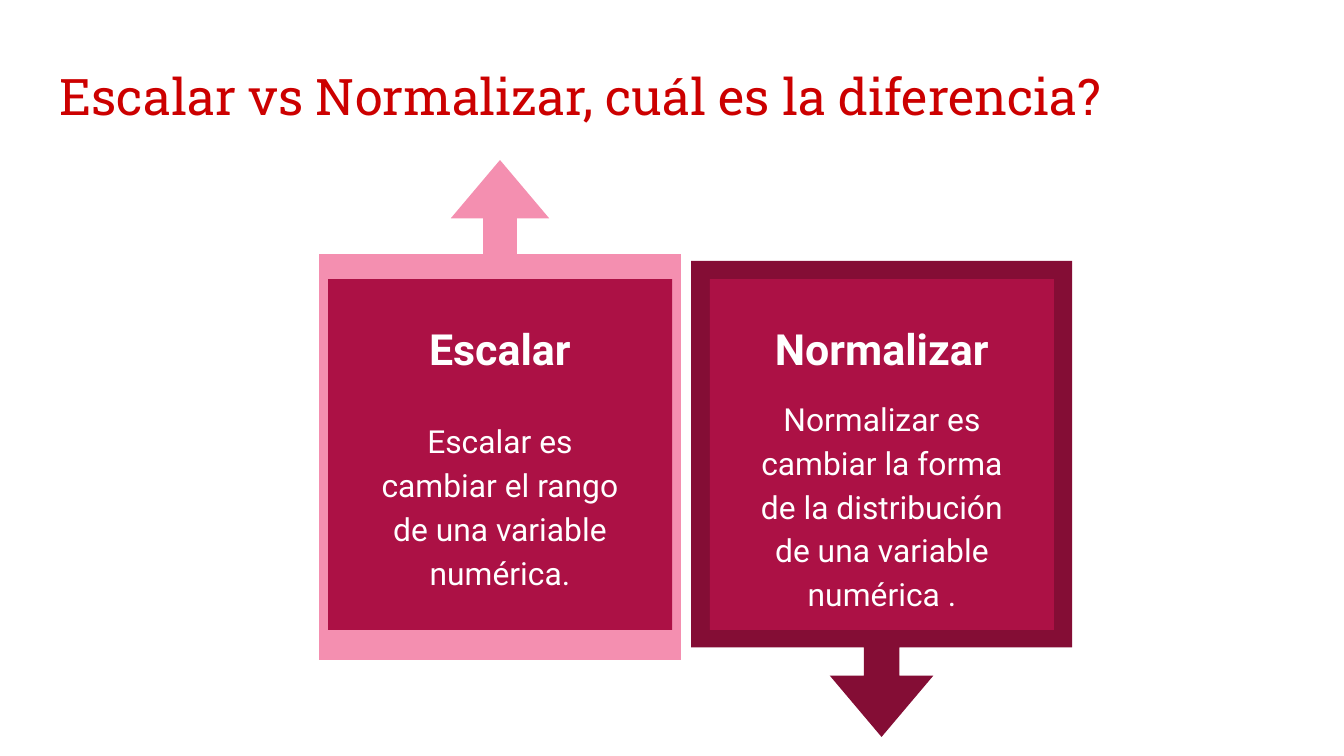
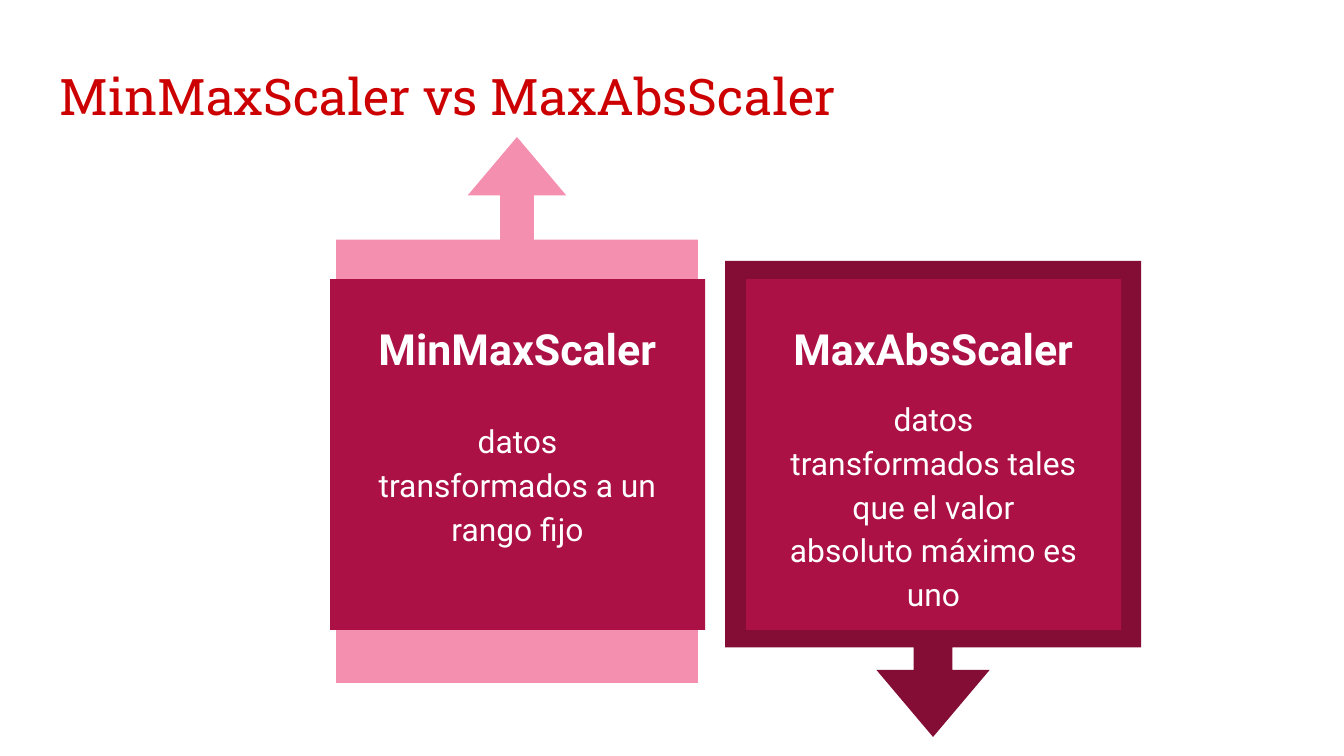
"""Builds two slides that compare pairs of data transformations."""
from pptx import Presentation
from pptx import util as u
from pptx.dml.color import RGBColor
from pptx.enum import shapes, text

SCALE = 914400 / 134.4
INK = {"title": "CC0000", "up": "F48FB0", "down": "840D35",
       "card": "AC1145", "white": "FFFFFF"}
ADJ = (0.093, 0.136, 0.161, 0.812)
TOP, TALL = 279, 351
TURN = {"up": 270, "down": 90}
GAP = {"up": 23, "down": 11}

PAGES = [
    ("Escalar vs Normalizar, cuál es la diferencia?", 344, [
        ("up", 328, (319, 160, 362, 500), "Escalar",
         "Escalar es cambiar el rango de una variable numérica."),
        ("down", 710, (691, 261, 381, 476), "Normalizar",
         "Normalizar es cambiar la forma de la distribución "
         "de una variable numérica ."),
    ]),
    ("MinMaxScaler vs MaxAbsScaler", 375, [
        ("up", 330, (336, 137, 362, 546), "MinMaxScaler",
         "datos transformados a un rango fijo"),
        ("down", 746, (725, 261, 416, 476), "MaxAbsScaler",
         "datos transformados tales que el valor absoluto máximo es uno"),
    ]),
]


def px(*nums):
    """Turn pixel lengths into EMU."""
    return [u.Emu(round(n * SCALE)) for n in nums]


def tint(name):
    """Give the named colour."""
    return RGBColor.from_string(INK[name])


def write(par, words, size, font="Roboto", ink="white", bold=False,
          align=text.PP_ALIGN.CENTER, line=1.15, before=0, after=0):
    """Put formatted words into a paragraph."""
    par.alignment, par.line_spacing = align, line
    par.space_before, par.space_after = u.Pt(before), u.Pt(after)
    run = par.add_run()
    run.text = words
    face = run.font
    face.name, face.size, face.bold = font, u.Pt(size), bold
    face.color.rgb = tint(ink)


def setup(frame):
    """Set the margins, wrap and anchor of a text frame."""
    frame.word_wrap = True
    frame.auto_size = text.MSO_AUTO_SIZE.NONE
    frame.vertical_anchor = text.MSO_ANCHOR.TOP
    frame.margin_left = frame.margin_right = u.Inches(0.1)
    frame.margin_top = frame.margin_bottom = u.Inches(0.1)


def head(slide, words):
    """Fill and place the title."""
    box = slide.shapes.title
    box.left, box.top, box.width, box.height = px(46, 52, 1253, 85)
    setup(box.text_frame)
    write(box.text_frame.paragraphs[0], words, 27, font="Roboto Slab",
          ink="title", align=text.PP_ALIGN.LEFT, line=1.0)


def block(slide, kind, box, ink, adj):
    """Draw a plain filled shape."""
    item = slide.shapes.add_shape(kind, *px(*box))
    item.shadow.inherit = False
    item.fill.solid()
    item.fill.fore_color.rgb = tint(ink)
    item.line.fill.background()
    for i, value in enumerate(adj):
        item.adjustments[i] = value
    return item


def arrow(slide, way, box):
    """Draw a callout that fills the box after a quarter turn."""
    left, top, wide, tall = box
    shift = (wide - tall) / 2
    item = block(slide, shapes.MSO_SHAPE.RIGHT_ARROW_CALLOUT,
                 (left + shift, top - shift, tall, wide), way, ADJ)
    item.rotation = TURN[way]


def card(slide, way, left, wide, name, body):
    """Draw a card with its heading and body."""
    block(slide, shapes.MSO_SHAPE.SNIP_1_RECTANGLE,
          (left, TOP, wide, TALL), "card", [0])
    pad = wide * 0.08
    box = slide.shapes.add_textbox(
        *px(left + pad, TOP + 22, wide - 2 * pad, 293))
    frame = box.text_frame
    setup(frame)
    write(frame.paragraphs[0], name, 23, bold=True)
    write(frame.add_paragraph(), body, 17, before=GAP[way], after=16)


def main():
    """Build and save the deck."""
    deck = Presentation()
    deck.slide_width, deck.slide_height = px(1344, 756)
    for title, wide, cards in PAGES:
        slide = deck.slides.add_slide(deck.slide_layouts[5])
        head(slide, title)
        for way, left, frame, name, body in cards:
            arrow(slide, way, frame)
            card(slide, way, left, wide, name, body)
    deck.save("out.pptx")


if __name__ == "__main__":
    main()
